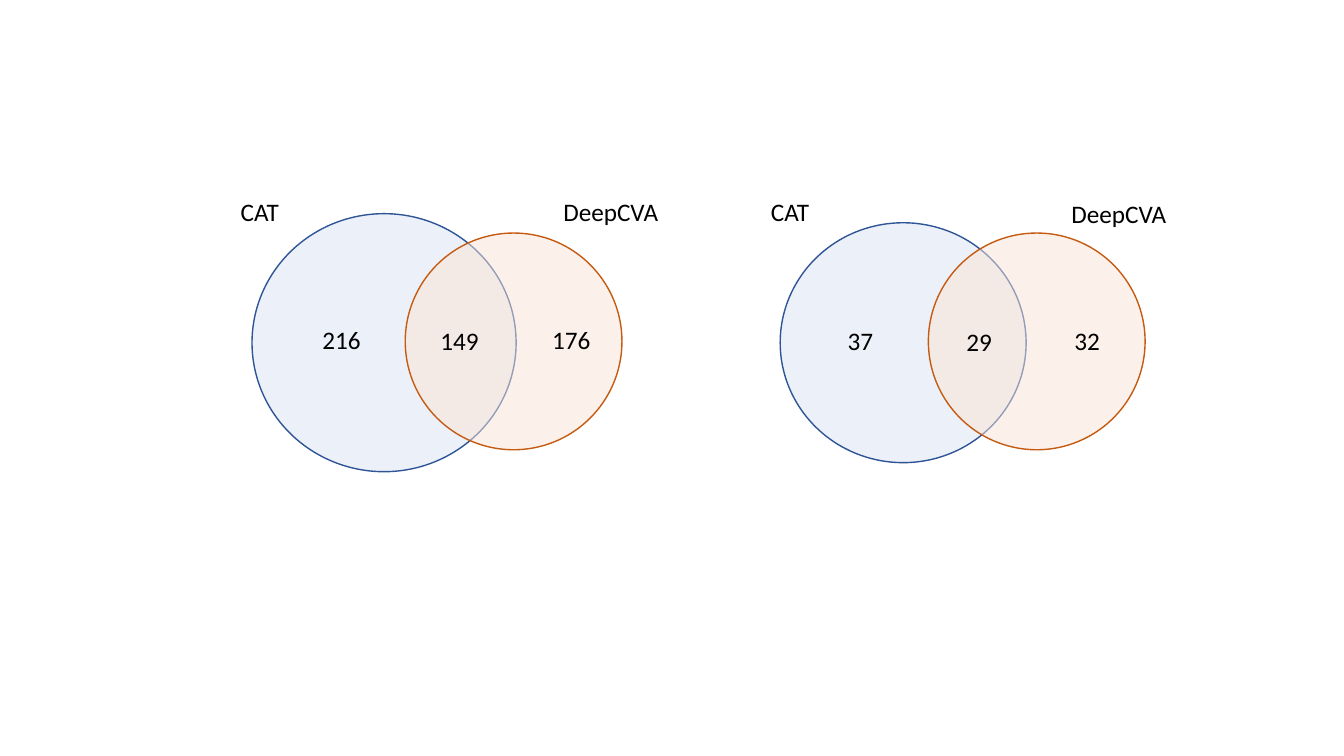
from lxml import etree
from pptx import Presentation
from pptx import util as u
from pptx.dml.color import RGBColor
from pptx.enum import shapes, text
from pptx.oxml.ns import qn

COLORS = {
    "cat_fill": "DAE3F3", "cat_line": "2F5597",
    "deepcva_fill": "FBE5D6", "deepcva_line": "C55A11",
    "text": "000000",
}

deck = Presentation()
deck.slide_width, deck.slide_height = u.Inches(13.333), u.Inches(7.5)
page = deck.slides.add_slide(deck.slide_layouts[6])

# Grid of 40 columns by 22.5 rows
COLUMN = deck.slide_width / 40
ROW = deck.slide_height / 22.5


def place(left, top, width, height):
    return [u.Emu(round(n)) for n in
            (left * COLUMN, top * ROW, width * COLUMN, height * ROW)]


# Each set: name, left column, centre row, columns wide, rows high
venn_sets = [
    ("cat", 7.5, 10.2, 7.86, 7.68),
    ("deepcva", 12.06, 10.16, 6.45, 6.45),
    ("cat", 23.22, 10.2, 7.32, 7.14),
    ("deepcva", 27.63, 10.16, 6.45, 6.45),
]

# Half-transparent circles
for name, left, centre, width, height in venn_sets:
    circle = page.shapes.add_shape(
        shapes.MSO_SHAPE.OVAL, *place(left, centre - height / 2, width, height))
    circle.shadow.inherit = False
    circle.fill.solid()
    circle.fill.fore_color.rgb = RGBColor.from_string(COLORS[name + "_fill"])
    color = circle.fill._xPr.find(qn("a:solidFill"))[0]
    etree.SubElement(color, qn("a:alpha"), val="50000")
    circle.line.color.rgb = RGBColor.from_string(COLORS[name + "_line"])
    circle.line.width = u.Pt(1)

# Each label: wording, left column, top row, columns wide
labels = [
    ("CAT", 6.87, 5.7, 3.12),
    ("DeepCVA", 16.47, 5.7, 3.63),
    ("216", 9.3, 9.51, 3.12),
    ("149", 12.81, 9.54, 3.12),
    ("176", 16.14, 9.51, 3.12),
    ("CAT", 22.65, 5.7, 3.12),
    ("DeepCVA", 31.59, 5.76, 3.63),
    ("37", 24.93, 9.54, 3.12),
    ("29", 28.47, 9.57, 3.12),
    ("32", 31.68, 9.54, 3.12),
]

# Set names and counts
for wording, left, top, width in labels:
    box = page.shapes.add_textbox(*place(left, top, width, 1.2))
    box.text_frame.word_wrap = True
    box.text_frame.auto_size = text.MSO_AUTO_SIZE.SHAPE_TO_FIT_TEXT
    para = box.text_frame.paragraphs[0]
    span = para.add_run()
    span.text = wording
    span.font.name = "Calibri"
    span.font.size = u.Pt(18)
    span.font.color.rgb = RGBColor.from_string(COLORS["text"])

deck.save("out.pptx")
